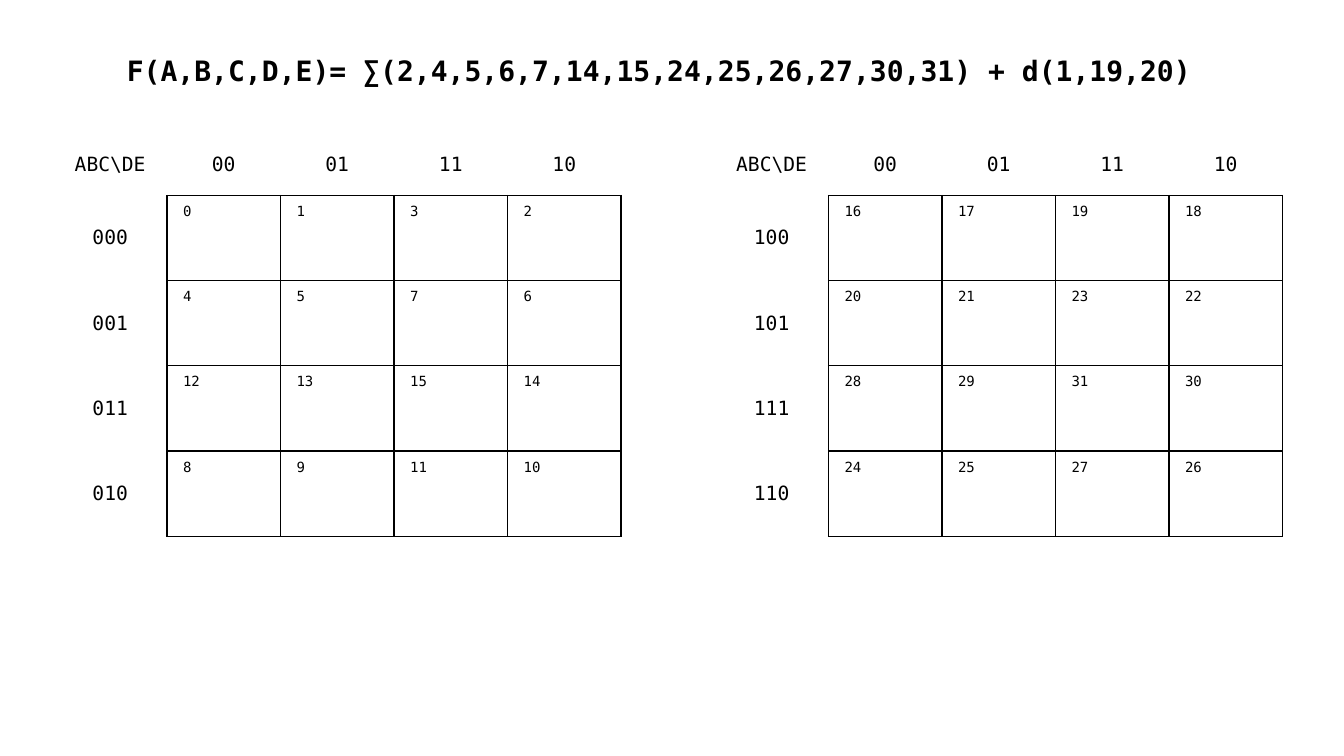
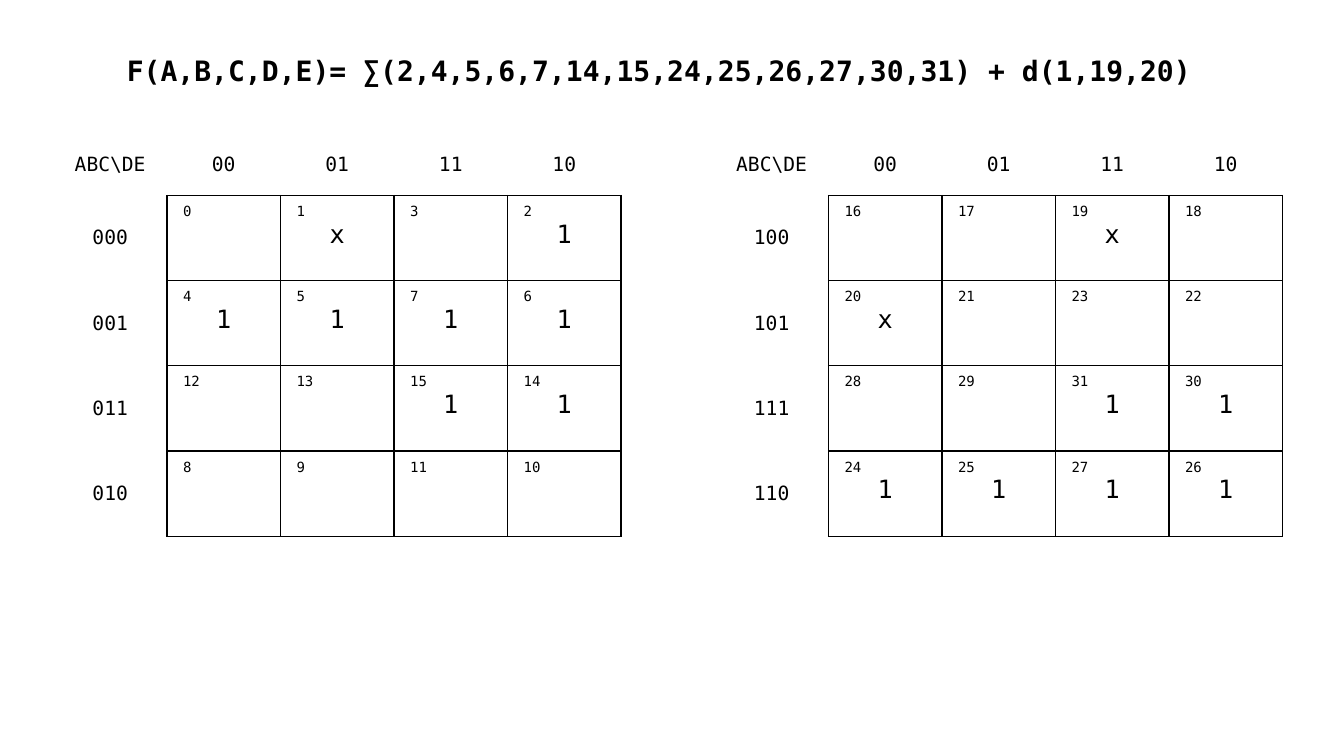
from lxml import etree
from pptx import Presentation
from pptx.dml.color import RGBColor
from pptx.enum import text as t
from pptx.oxml import ns
from pptx.util import Inches, Pt

BLACK = RGBColor(0, 0, 0)
WHITE = RGBColor(255, 255, 255)
FONT = "DejaVu Sans Mono"
GRAY = ["00", "01", "11", "10"]
ONES = [2, 4, 5, 6, 7, 14, 15, 24, 25, 26, 27, 30, 31]
CARES = [1, 19, 20]
MARKS = {**dict.fromkeys(ONES, "1"), **dict.fromkeys(CARES, "x")}
MAPS = [("1", 7.09), ("0", 0.53)]
HEAD = 0.62
TALL = 4


def style(para, size, bold=False, center=True):
    """Format one paragraph and its runs."""
    para.alignment = t.PP_ALIGN.CENTER if center else t.PP_ALIGN.LEFT
    for run in para.runs:
        run.font.name = FONT
        run.font.size = Pt(size)
        run.font.bold = bold
        run.font.color.rgb = BLACK


def title(slide):
    """Write the function being minimised."""
    box = slide.shapes.add_textbox(
        Inches(0.87), Inches(0.43), Inches(11.5), Inches(0.49))
    frame = box.text_frame
    frame.word_wrap = True
    frame.auto_size = t.MSO_AUTO_SIZE.SHAPE_TO_FIT_TEXT
    ones = ",".join(map(str, ONES))
    cares = ",".join(map(str, CARES))
    frame.text = f"F(A,B,C,D,E)= ∑({ones}) + d({cares}) "
    para = frame.paragraphs[0]
    para.line_spacing = 1.15
    para.space_before = para.space_after = Pt(6)
    style(para, 20, bold=True)


def edges(cell, sides):
    """Draw the cell borders that are set and clear the others."""
    props = cell._tc.get_or_add_tcPr()
    for spot, (side, shown) in enumerate(sides.items()):
        line = etree.Element(ns.qn(f"a:ln{side}"), w=str(Pt(1)))
        if shown:
            fill = etree.SubElement(line, ns.qn("a:solidFill"))
            etree.SubElement(fill, ns.qn("a:srgbClr"), val=str(BLACK))
        else:
            etree.SubElement(line, ns.qn("a:noFill"))
        props.insert(spot, line)


def label(cell, words):
    """Write a row or column code."""
    cell.text_frame.text = words
    cell.vertical_anchor = t.MSO_ANCHOR.MIDDLE
    style(cell.text_frame.paragraphs[0], 14)


def minterm(cell, index, mark):
    """Write a minterm number and, if there is one, its mark."""
    frame = cell.text_frame
    frame.text = str(index)
    style(frame.paragraphs[0], 10, center=False)
    if mark:
        para = frame.add_paragraph()
        para.text = mark
        style(para, 18)


def kmap(slide, lead, left, marks):
    """Draw the half of the map whose row codes begin with lead."""
    wide = Inches(5.63)
    grid = slide.shapes.add_table(
        5, 5, Inches(left), Inches(1.32), wide, Inches(TALL)).table
    grid.first_row = grid.horz_banding = False
    for col in grid.columns:
        col.width = wide // 5
    for r, row in enumerate(grid.rows):
        row.height = Inches((TALL - HEAD) / 4 if r else HEAD)
        for c, cell in enumerate(row.cells):
            cell.margin_left = cell.margin_right = Inches(0.16)
            cell.margin_top = cell.margin_bottom = Inches(0.08)
            cell.fill.solid()
            cell.fill.fore_color.rgb = WHITE
            inner = r > 0 and c > 0
            edges(cell, {"L": inner, "R": r > 0, "T": inner, "B": c > 0})
            high = lead + GRAY[r - 1] if r else "ABC\\DE"
            if inner:
                index = int(high + GRAY[c - 1], 2)
                minterm(cell, index, marks.get(index))
            else:
                label(cell, GRAY[c - 1] if c else high)


def main():
    """Build the empty map and the filled map."""
    deck = Presentation()
    deck.slide_width = Inches(13.33)
    deck.slide_height = Inches(7.5)
    for marks in ({}, MARKS):
        slide = deck.slides.add_slide(deck.slide_layouts[6])
        title(slide)
        for lead, left in MAPS:
            kmap(slide, lead, left, marks)
    deck.save("out.pptx")


main()
